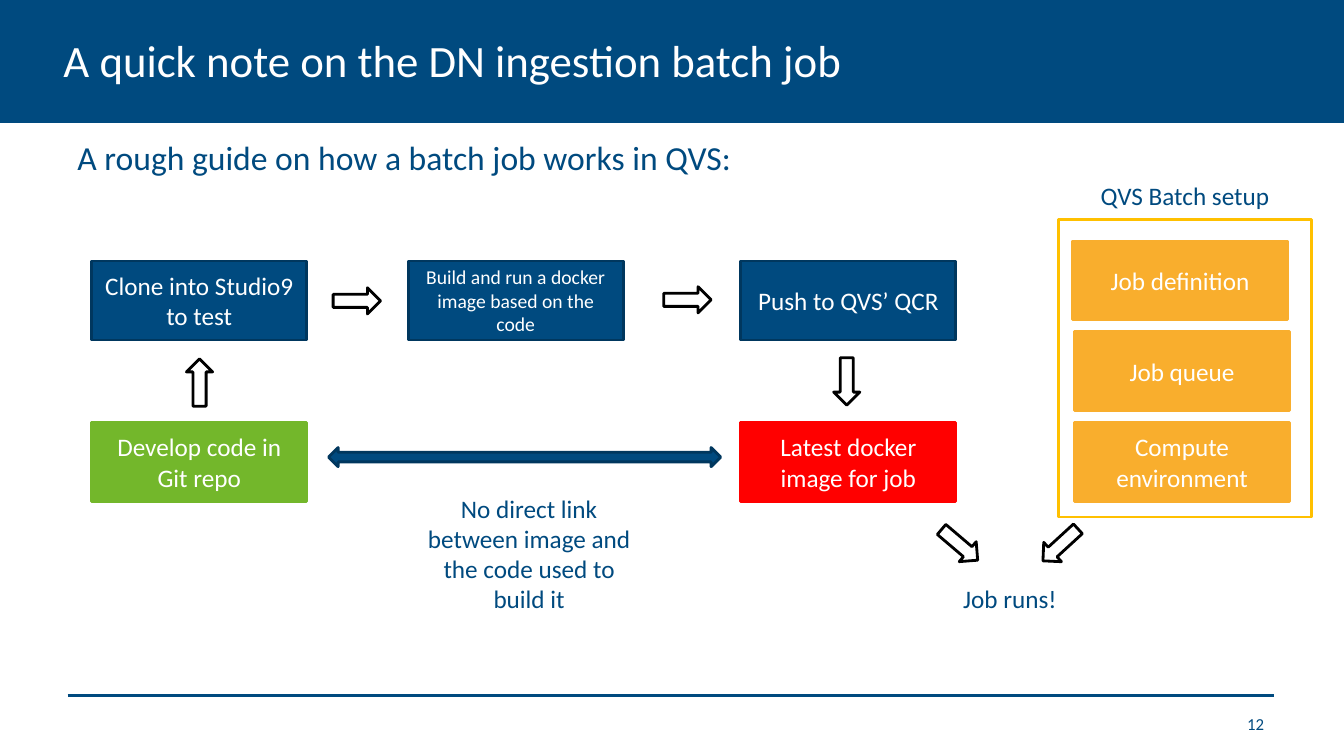
"""Build the slide that explains how the ingestion batch job works."""
from dataclasses import dataclass

from lxml.etree import SubElement
from pptx import Presentation
from pptx.dml.color import RGBColor
from pptx.enum.shapes import MSO_CONNECTOR, MSO_SHAPE
from pptx.enum.text import MSO_ANCHOR, MSO_AUTO_SIZE, PP_ALIGN
from pptx.oxml.ns import qn
from pptx.shapes.autoshape import Shape
from pptx.slide import Slide
from pptx.util import Inches, Pt

COLOURS = {
    "blue": "004A7F", "navy": "00375E", "green": "73B72B", "red": "FF0000",
    "orange": "F9AE2D", "gold": "FFC000", "black": "000000", "white": "FFFFFF",
}
FONT = "Calibri"
COLUMNS, ROWS = 80, 45
CELL = Inches(13.33) / COLUMNS
BOX_W, BOX_H = 12.8, 4.7
ARROW_W, ARROW_H = 1.56, 2.82
CODE_COL, IMAGE_COL, PUSH_COL, SETUP_COL = 5.46, 24.3, 44.1, 63.96
TOP_ROW, BOTTOM_ROW = 15.54, 25.14
RULE_LEFT, RULE_RIGHT, RULE_ROW = 4.02, 75.84, 41.4


@dataclass(frozen=True)
class Box:
    text: str
    col: float
    row: float
    fill: str
    line: str
    size: int = 18


@dataclass(frozen=True)
class Arrow:
    mid_col: float
    mid_row: float
    angle: float = 0


@dataclass(frozen=True)
class Label:
    text: str
    col: float
    row: float
    cols: float
    rows: float
    size: int = 18
    align: PP_ALIGN = PP_ALIGN.CENTER
    anchor: MSO_ANCHOR = MSO_ANCHOR.TOP
    grow: bool = True


BOXES = [
    Box("Develop code in Git repo", CODE_COL, BOTTOM_ROW, "green", "green"),
    Box("Clone into Studio9 to test", CODE_COL, TOP_ROW, "blue", "navy"),
    Box("Build and run a docker image based on the code",
        IMAGE_COL, TOP_ROW, "blue", "navy", 14),
    Box("Push to QVS’ QCR", PUSH_COL, TOP_ROW, "blue", "navy"),
    Box("Job definition", SETUP_COL - 0.12, 14.34, "orange", "orange"),
    Box("Job queue", SETUP_COL, 19.74, "orange", "orange"),
    Box("Compute environment", SETUP_COL, BOTTOM_ROW, "orange", "orange"),
    Box("Latest docker image for job", PUSH_COL, BOTTOM_ROW, "red", "red"),
]
ARROWS = [
    Arrow(11.88, 22.77),
    Arrow(21.24, 17.91, 90),
    Arrow(40.92, 17.85, 90),
    Arrow(50.4, 22.71, 180),
    Arrow(57.12, 32.43, 130.4),
    Arrow(63.12, 32.43, 227.5),
]
LABELS = [
    Label("A rough guide on how a batch job works in QVS:",
          RULE_LEFT, 7.86, 71.58, 33.06, 24, PP_ALIGN.LEFT, grow=False),
    Label("12", 57.18, 41.88, 18.66, 2.4, 12, PP_ALIGN.RIGHT,
          MSO_ANCHOR.MIDDLE, False),
    Label("Job runs!", 56.46, 34.44, 7.32, 2.4),
    Label("No direct link between image and the code used to build it",
          IMAGE_COL, 29.04, 14.4, 7.86),
    Label("QVS Batch setup", 64.14, 10.44, 12.78, 2.4),
]


def grid(*cells: float) -> list[int]:
    """Turn grid cells into slide lengths."""
    return [round(n * CELL) for n in cells]


def rgb(name: str) -> RGBColor:
    """Look up a colour by its name."""
    return RGBColor.from_string(COLOURS[name])


def write(s: Shape, text: str, size: int, colour: str, align: PP_ALIGN,
          anchor: MSO_ANCHOR) -> None:
    """Set and format the text of a shape."""
    tf = s.text_frame
    tf.word_wrap = True
    tf.vertical_anchor = anchor
    tf.text = text
    p = tf.paragraphs[0]
    p.alignment = align
    r = p.runs[0]
    r.font.name = FONT
    r.font.size = Pt(size)
    r.font.color.rgb = rgb(colour)


def add_figure(slide: Slide, kind: MSO_SHAPE, col: float, row: float,
               cols: float, rows: float, fill: str = "", line: str = "") -> Shape:
    """Add a preset shape, hollow or without outline where no colour is given."""
    s = slide.shapes.add_shape(kind, *grid(col, row, cols, rows))
    s.shadow.inherit = False
    if fill:
        s.fill.solid()
        s.fill.fore_color.rgb = rgb(fill)
    else:
        s.fill.background()
    if line:
        s.line.color.rgb = rgb(line)
        s.line.width = Pt(2)
    else:
        s.line.fill.background()
    return s


def add_box(slide: Slide, box: Box) -> None:
    """Add one step of the flow."""
    s = add_figure(slide, MSO_SHAPE.RECTANGLE, box.col, box.row, BOX_W, BOX_H,
                   box.fill, box.line)
    write(s, box.text, box.size, "white", PP_ALIGN.CENTER, MSO_ANCHOR.MIDDLE)


def add_arrow(slide: Slide, arrow: Arrow) -> None:
    """Add a hollow block arrow turned about its middle."""
    s = add_figure(slide, MSO_SHAPE.UP_ARROW, arrow.mid_col - ARROW_W / 2,
                   arrow.mid_row - ARROW_H / 2, ARROW_W, ARROW_H, line="black")
    s.rotation = arrow.angle


def add_label(slide: Slide, label: Label) -> None:
    """Add a text box in the slide's blue."""
    s = slide.shapes.add_textbox(
        *grid(label.col, label.row, label.cols, label.rows))
    write(s, label.text, label.size, "blue", label.align, label.anchor)
    if label.grow:
        s.text_frame.auto_size = MSO_AUTO_SIZE.SHAPE_TO_FIT_TEXT


def add_title(slide: Slide, text: str) -> None:
    """Add the title band."""
    s = add_figure(slide, MSO_SHAPE.RECTANGLE, 0, -0.18, COLUMNS, 7.5, "blue")
    s.text_frame.margin_left, s.text_frame.margin_right = grid(3.78, 3.78)
    write(s, text, 32, "white", PP_ALIGN.LEFT, MSO_ANCHOR.MIDDLE)


def add_rule(slide: Slide) -> None:
    """Add the footer line."""
    s = slide.shapes.add_connector(
        MSO_CONNECTOR.STRAIGHT, *grid(RULE_LEFT, RULE_ROW, RULE_RIGHT, RULE_ROW))
    s.line.color.rgb = rgb("blue")
    s.line.width = Pt(2.25)
    SubElement(s._element.spPr, qn("a:effectLst"))


def main() -> None:
    """Build and save the slide."""
    prs = Presentation()
    prs.slide_width, prs.slide_height = grid(COLUMNS, ROWS)
    slide = prs.slides.add_slide(prs.slide_layouts[6])
    add_rule(slide)
    add_title(slide, "A quick note on the DN ingestion batch job")
    for box in BOXES:
        add_box(slide, box)
    add_figure(slide, MSO_SHAPE.LEFT_RIGHT_ARROW, 19.56, 26.64, 23.34, 1.14,
               "blue", "navy")
    for arrow in ARROWS:
        add_arrow(slide, arrow)
    add_figure(slide, MSO_SHAPE.RECTANGLE, 63, 13.08, 15.06, 17.7, line="gold")
    for label in LABELS:
        add_label(slide, label)
    prs.save("out.pptx")


if __name__ == "__main__":
    main()
